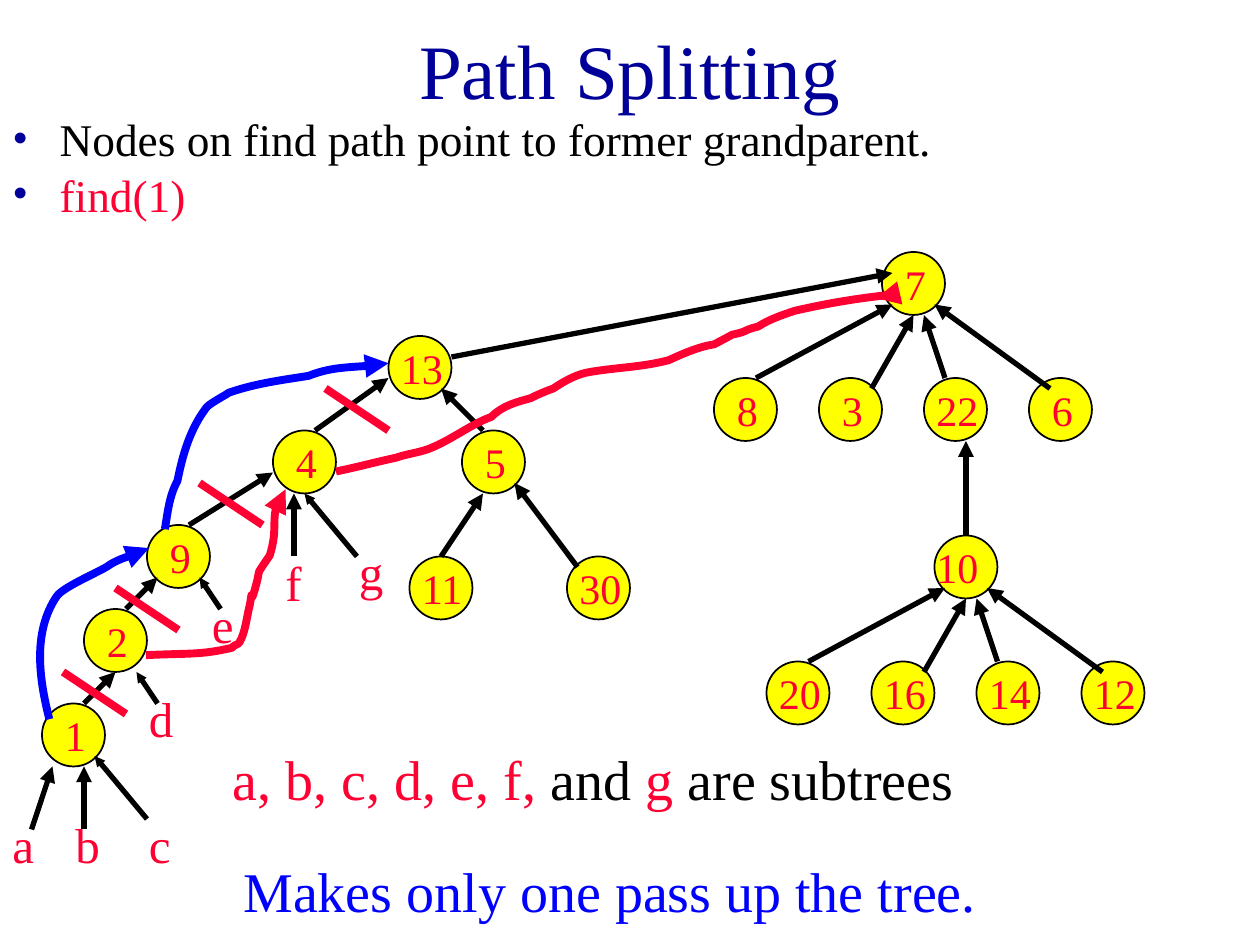
from lxml import etree
from pptx import Presentation
from pptx.dml.color import RGBColor
from pptx.enum.shapes import MSO_CONNECTOR, MSO_SHAPE
from pptx.enum.text import MSO_ANCHOR, PP_ALIGN
from pptx.oxml.ns import qn
from pptx.util import Pt

PX = 7620  # EMU per px, 120 px to the inch
FONT = "Times New Roman"
LEFT, CENTER = PP_ALIGN.LEFT, PP_ALIGN.CENTER
TOP, MIDDLE = MSO_ANCHOR.TOP, MSO_ANCHOR.MIDDLE
OVAL, STRAIGHT = MSO_SHAPE.OVAL, MSO_CONNECTOR.STRAIGHT
COLORS = {"navy": "000099", "black": "000000", "red": "FF0033",
          "blue": "0000FF", "yellow": "FFFF00"}

TITLE = "Path Splitting"
BULLETS = [("Nodes on find path point to former grandparent.", "black"),
           ("find(1)", "red")]
SUBTREE_NOTE = [("a, b, c, d, e, f,", "red"), (" and ", "black"),
                ("g", "red"), (" are subtrees", "black")]
CONCLUSION = "Makes only one pass up the tree."

NODE_SIZE = 60
NODES = {  # key: left, top of the circle
    "7": (840, 240), "8": (680, 360), "3": (780, 360), "22": (880, 360),
    "6": (980, 360), "10": (890, 510), "20": (730, 630), "16": (830, 630),
    "14": (930, 630), "12": (1030, 630), "13": (370, 320), "4": (260, 410),
    "5": (440, 410), "11": (390, 530), "30": (540, 530), "9": (140, 500),
    "2": (80, 580), "1": (40, 670),
}
LABEL_SHIFT = {"10": -10}
SUBTREES = {"a": (0, 770), "b": (60, 770), "c": (130, 770), "d": (130, 650),
            "e": (190, 560), "f": (260, 520), "g": (330, 510)}

PARENT_ARROWS = [  # child x, y, parent x, y
    (430, 340, 850, 260), (300, 410, 370, 360), (460, 410, 420, 370),
    (180, 500, 260, 450), (120, 580, 150, 550), (80, 670, 110, 640),
    (420, 530, 460, 470), (550, 540, 490, 460),
    (720, 360, 850, 290), (830, 370, 870, 300), (900, 360, 880, 300),
    (1000, 370, 890, 290), (920, 510, 920, 420),
    (770, 630, 900, 560), (880, 640, 920, 570), (950, 630, 930, 570),
    (1050, 640, 940, 560),
    (30, 790, 50, 730), (80, 790, 80, 730), (280, 530, 280, 470),
]
SMALL_ARROWS = [(140, 780, 90, 720), (150, 670, 130, 640),
                (210, 580, 190, 550), (340, 530, 290, 470)]
JOINTS = [(900, 280), (950, 550)]
CUT_SIZE = (60, 40)
CUT_STARTS = [(310, 370), (190, 460), (110, 560), (60, 640)]

NEW_POINTERS = [  # color, start, cubic segments (two controls and an end)
    ("blue", (47, 685), [
        (37, 646, 31, 602, 54, 568), (60, 559, 96, 544, 103, 539),
        (110, 534, 125, 529, 125, 529), (130, 526, 134, 522, 142, 522)]),
    ("red", (139, 624), [
        (181, 622, 191, 624, 221, 617), (223, 614, 227, 614, 228, 612),
        (234, 602, 235, 587, 238, 576), (242, 551, 236, 588, 245, 553),
        (246, 550, 246, 546, 247, 544), (250, 539, 257, 529, 257, 529),
        (264, 506, 256, 484, 272, 466)]),
    ("blue", (157, 504), [
        (160, 487, 161, 473, 169, 458), (174, 433, 181, 409, 196, 389),
        (198, 385, 214, 377, 218, 374), (244, 365, 269, 362, 294, 358),
        (314, 350, 334, 350, 355, 348), (368, 346, 364, 346, 370, 346)]),
    ("red", (320, 449), [
        (340, 445, 358, 440, 377, 436), (388, 432, 401, 431, 412, 426),
        (431, 418, 449, 404, 468, 397), (479, 386, 492, 383, 506, 379),
        (511, 376, 524, 371, 527, 370), (536, 364, 546, 358, 558, 355),
        (584, 350, 611, 350, 637, 343), (650, 337, 666, 330, 680, 328),
        (709, 313, 689, 322, 708, 316), (713, 313, 722, 311, 722, 311),
        (733, 304, 745, 300, 757, 296), (792, 288, 818, 284, 854, 280),
        (848, 282, 841, 284, 835, 284)]),
]


def rgb(color):
    return RGBColor.from_string(COLORS[color])


def emu(*lengths):
    return [length * PX for length in lengths]


def add_bullet(paragraph, color, indent):
    props = paragraph._p.get_or_add_pPr()
    props.set("marL", str(indent * PX))
    props.set("indent", str(-indent * PX))
    bullet_color = etree.SubElement(props, qn("a:buClr"))
    etree.SubElement(bullet_color, qn("a:srgbClr"), val=COLORS[color])
    etree.SubElement(props, qn("a:buFont"), typeface=FONT)
    etree.SubElement(props, qn("a:buChar"), char="•")


def add_text(slide, box, paragraphs, size, align=LEFT, anchor=TOP,
             spacing=None, bullet=None):
    """Each paragraph is a list of (text, color) runs."""
    frame = slide.shapes.add_textbox(*emu(*box)).text_frame
    frame.word_wrap = True
    frame.vertical_anchor = anchor
    for i, runs in enumerate(paragraphs):
        paragraph = frame.add_paragraph() if i else frame.paragraphs[0]
        paragraph.alignment = align
        if spacing:
            paragraph.line_spacing = spacing
        if i:
            paragraph.space_before = Pt(7)
        if bullet:
            add_bullet(paragraph, bullet, indent=45)
        for text, color in runs:
            run = paragraph.add_run()
            run.text = text
            run.font.name, run.font.size = FONT, Pt(size)
            run.font.color.rgb = rgb(color)


def style_line(shape, color, width, head=None):
    shape.line.color.rgb = rgb(color)
    shape.line.width = Pt(width)
    if head:
        etree.SubElement(shape.line._get_or_add_ln(), qn("a:tailEnd"),
                         type="triangle", w=head, len=head)


def add_line(slide, ends, color, width, head=None):
    line = slide.shapes.add_connector(STRAIGHT, *emu(*ends))
    style_line(line, color, width, head)
    etree.SubElement(line._element.spPr, qn("a:effectLst"))


def add_node(slide, label, x, y):
    circle = slide.shapes.add_shape(OVAL, *emu(x, y, NODE_SIZE, NODE_SIZE))
    circle.shadow.inherit = False
    circle.fill.solid()
    circle.fill.fore_color.rgb = rgb("yellow")
    style_line(circle, "black", 1)
    one_digit = len(label) == 1
    shift = LABEL_SHIFT.get(label, 10 if one_digit else 0)
    width = 40 if one_digit else 70
    add_text(slide, (x + shift, y, width, NODE_SIZE), [[(label, "red")]], 24)


def add_pointer(slide, color, start, segments):
    """Build an outline through the segment ends, then bend each segment."""
    builder = slide.shapes.build_freeform(*start, scale=PX)
    builder.add_line_segments([segment[4:] for segment in segments], close=False)
    pointer = builder.convert_to_shape()
    left, top = pointer.left // PX, pointer.top // PX
    straights = list(pointer._element.iter(qn("a:lnTo")))
    for straight, segment in zip(straights, segments):
        curve = etree.Element(qn("a:cubicBezTo"))
        for x, y in zip(segment[::2], segment[1::2]):
            etree.SubElement(curve, qn("a:pt"), x=str(x - left), y=str(y - top))
        straight.getparent().replace(straight, curve)
    pointer.shadow.inherit = False
    pointer.fill.background()
    style_line(pointer, color, 4.5, "med")


def main():
    deck = Presentation()
    deck.slide_width, deck.slide_height = emu(1200, 900)
    slide = deck.slides.add_slide(deck.slide_layouts[6])

    add_text(slide, (90, 20, 1020, 90), [[(TITLE, "navy")]], 44, CENTER, MIDDLE)
    add_text(slide, (0, 110, 1200, 110), [[item] for item in BULLETS], 25.9,
             spacing=0.8, bullet="navy")
    for label, (x, y) in NODES.items():
        add_node(slide, label, x, y)
    for arrows, head in ((PARENT_ARROWS, "med"), (SMALL_ARROWS, "sm")):
        for ends in arrows:
            add_line(slide, ends, "black", 3, head)
    for joint in JOINTS:
        add_line(slide, joint * 2, "black", 1)
    for letter, (x, y) in SUBTREES.items():
        add_text(slide, (x, y, 70, 68), [[(letter, "red")]], 28)
    add_text(slide, (210, 710, 820, 167), [SUBTREE_NOTE], 32, spacing=0.9)
    for x, y in CUT_STARTS:
        add_line(slide, (x, y, x + CUT_SIZE[0], y + CUT_SIZE[1]), "red", 4.5)
    for color, start, segments in NEW_POINTERS:
        add_pointer(slide, color, start, segments)
    add_text(slide, (220, 810, 900, 77), [[(CONCLUSION, "blue")]], 32)
    deck.save("out.pptx")


if __name__ == "__main__":
    main()
